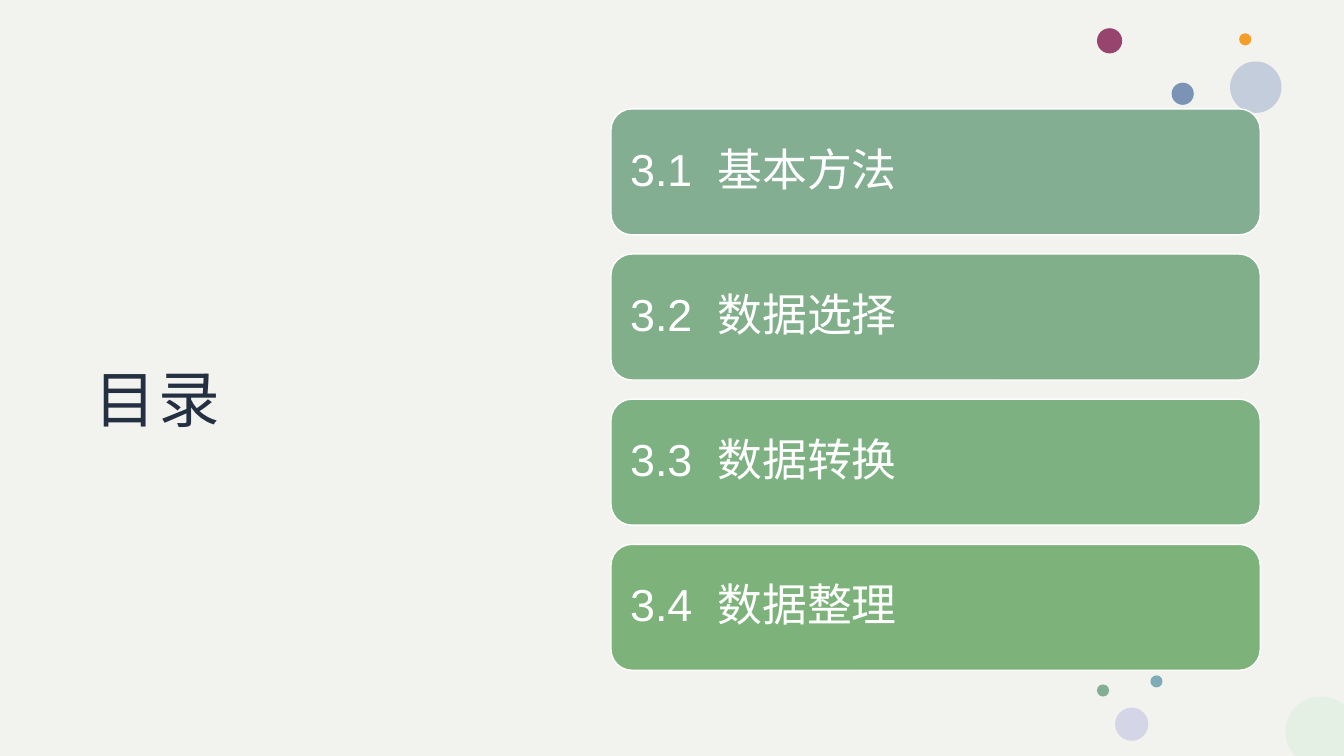
"""Build the contents slide with four section bars and dot accents."""
from math import cos, radians, sin
from lxml import etree
from pptx import Presentation
from pptx.dml.color import RGBColor
from pptx.enum import shapes, text
from pptx.oxml.ns import qn
from pptx.util import Inches, Pt


def paint(fill, color, alpha=100):
    fill.solid()
    fill.fore_color.rgb = RGBColor.from_string(color)
    if alpha < 100:
        tone = fill._xPr.find(".//" + qn("a:srgbClr"))
        etree.SubElement(tone, qn("a:alpha")).set("val", str(alpha * 1000))


def style(run, size, color, track=0):
    run.font.name = "Arial"
    run.font.size = Pt(size)
    paint(run.font.fill, color)
    if track:
        run._r.get_or_add_rPr().set("spc", str(track))


deck = Presentation()
deck.slide_width, deck.slide_height = Inches(13.33), Inches(7.5)
slide = deck.slides.add_slide(deck.slide_layouts[6])
paint(slide.background.fill, "F2F2EE")

title = slide.shapes.add_textbox(Inches(0.84), Inches(1.04), Inches(5.04), Inches(5.64))
frame = title.text_frame
frame.word_wrap = True
frame.vertical_anchor = text.MSO_ANCHOR.MIDDLE
frame.text = "目录"
frame.paragraphs[0].line_spacing = 1.25
style(frame.paragraphs[0].runs[0], 44, "243041", 140)

dots = [
    (10.88, 0.28, 0.25, "97446E", 100),
    (12.2, 0.61, 0.51, "B2C0D6", 72),
    (12.29, 0.33, 0.12, "F39E29", 100),
    (11.62, 0.82, 0.22, "7B94B6", 100),
    (11.41, 6.7, 0.12, "7DACB7", 100),
    (11.06, 7.02, 0.33, "D5D5E8", 100),
    (10.88, 6.79, 0.12, "83AE92", 100),
]
for left, top, size, color, alpha in dots:
    dot = slide.shapes.add_shape(
        shapes.MSO_SHAPE.OVAL, Inches(left), Inches(top), Inches(size), Inches(size))
    dot.shadow.inherit = False
    dot.line.fill.background()
    paint(dot.fill, color, alpha)

arc = [(Inches(13.1 + 0.35 * cos(radians(a))), Inches(7.26 + 0.35 * sin(radians(a))))
       for a in range(137, 312, 6)]
edge = [(Inches(13.33), Inches(7)), (Inches(13.33), Inches(7.5)), (Inches(12.85), Inches(7.5))]
pen = slide.shapes.build_freeform(*arc[0])
pen.add_line_segments(arc[1:] + edge, close=True)
corner = pen.convert_to_shape()
corner.shadow.inherit = False
corner.line.fill.background()
paint(corner.fill, "E5F0E4")

parts = [("基本方法", "83AE92"), ("数据选择", "80AF8A"), ("数据转换", "7DB181"), ("数据整理", "7DB27A")]
for row, (name, color) in enumerate(parts):
    bar = slide.shapes.add_shape(
        shapes.MSO_SHAPE.ROUNDED_RECTANGLE,
        Inches(6.06), Inches(1.08 + 1.44 * row), Inches(6.44), Inches(1.25))
    bar.shadow.inherit = False
    paint(bar.fill, color)
    paint(bar.line.fill, "FFFFFF")
    bar.line.width = Pt(1)
    frame = bar.text_frame
    frame.word_wrap = True
    frame.vertical_anchor = text.MSO_ANCHOR.MIDDLE
    frame.margin_left = frame.margin_right = Inches(0.13)
    para = frame.paragraphs[0]
    para.alignment = text.PP_ALIGN.LEFT
    para.line_spacing = 0.9
    for word, track in [(f"3.{row + 1}", 0), (" ", 890), (name, 0)]:
        run = para.add_run()
        run.text = word
        style(run, 32, "FFFFFF", track)

deck.save("out.pptx")
